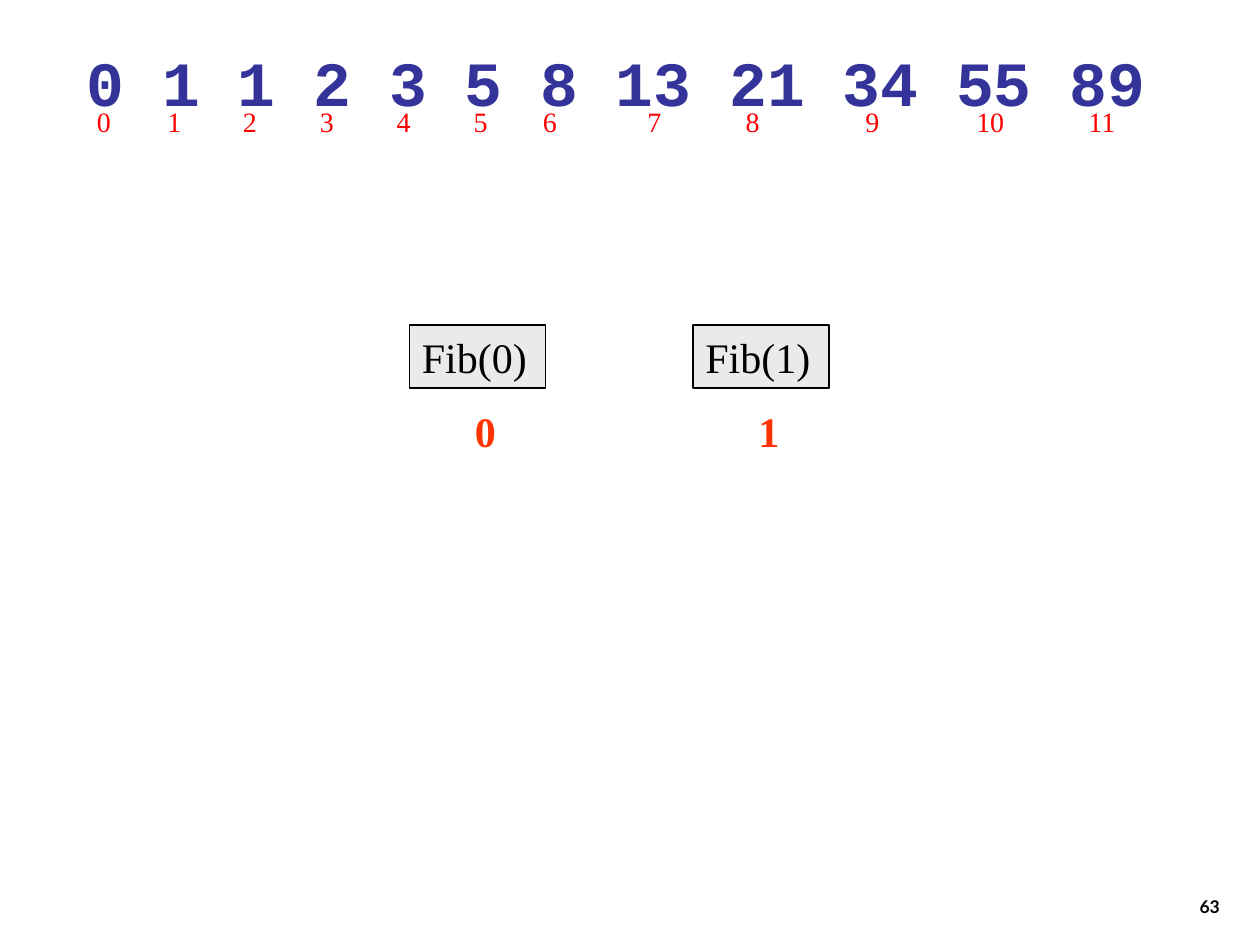
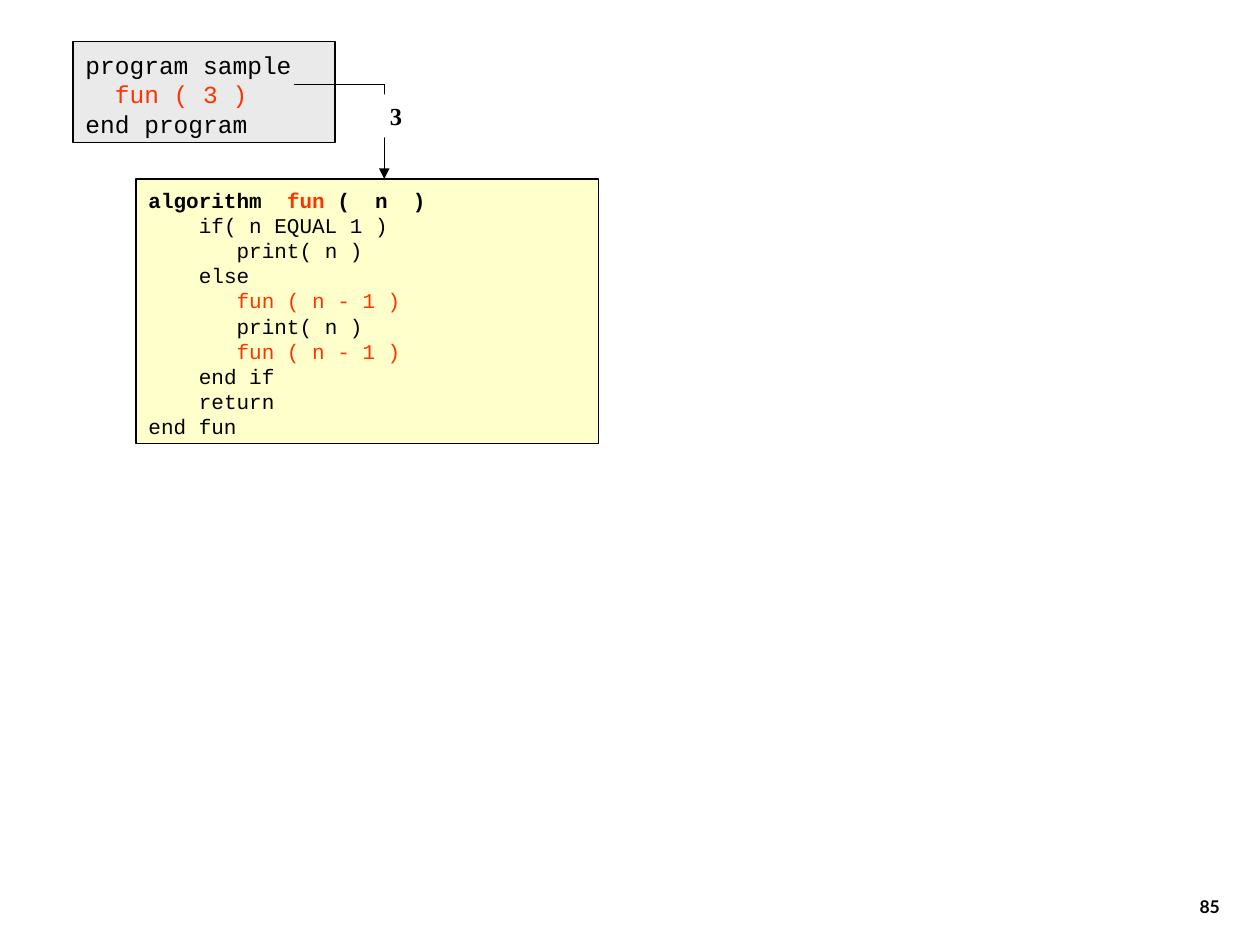
from dataclasses import dataclass

from lxml import etree
from pptx import Presentation
from pptx.dml.color import RGBColor
from pptx.enum.shapes import MSO_CONNECTOR, MSO_SHAPE
from pptx.enum.text import MSO_ANCHOR, PP_ALIGN
from pptx.oxml.ns import qn
from pptx.util import Inches, Pt

STRAIGHT = MSO_CONNECTOR.STRAIGHT
RECTANGLE = MSO_SHAPE.RECTANGLE
TOP, BOTTOM = MSO_ANCHOR.TOP, MSO_ANCHOR.BOTTOM
LEFT, RIGHT = PP_ALIGN.LEFT, PP_ALIGN.RIGHT
BLANK_LAYOUT = 6


@dataclass(frozen=True)
class Theme:
    # Colours
    ink: str = "000000"
    paper: str = "FFFFFF"
    call: str = "FF3300"
    index: str = "FF0000"
    sequence: str = "333399"
    gray_box: str = "EAEAEA"
    yellow_box: str = "FFFFCC"
    # Fonts
    serif: str = "Times New Roman"
    mono: str = "Courier New"
    sans: str = "Lato"
    # Type sizes and line measures, in points
    sequence_size: int = 36
    node_size: int = 24
    index_size: int = 16
    program_size: int = 14
    algorithm_size: int = 12
    number_size: int = 10
    line_width: float = 0.75
    leading: float = 1.2
    mono_drop: float = 0.09
    mono_advance: float = 0.6


THEME = Theme()


@dataclass
class Line:
    """One paragraph: (text, colour, bold) runs after an indent in characters."""
    runs: list
    indent: int = 0


def code(text, indent=0, color=THEME.ink):
    return Line([(text, color, False)], indent)


class Deck:
    def __init__(self, theme):
        self.theme = theme
        self.prs = Presentation()
        self.prs.slide_width, self.prs.slide_height = Inches(10), Inches(7.5)
        self.slide = None

    def new_slide(self, number):
        layout = self.prs.slide_layouts[BLANK_LAYOUT]
        self.slide = self.prs.slides.add_slide(layout)
        self.text((7.7, 6.83, 2.08, 0.5), [Line([(number, self.theme.ink, True)])],
                  self.theme.sans, self.theme.number_size, RIGHT, BOTTOM)

    def set_lines(self, shape, lines, font, size, align=LEFT, anchor=TOP):
        theme, frame = self.theme, shape.text_frame
        frame.word_wrap = True
        frame.vertical_anchor = anchor
        frame.margin_left = frame.margin_right = Inches(0.1)
        frame.margin_top = frame.margin_bottom = Inches(0.05)
        if font == theme.mono:
            frame.margin_top += Pt(theme.mono_drop * size)
        for number, line in enumerate(lines):
            paragraph = frame.add_paragraph() if number else frame.paragraphs[0]
            paragraph.alignment = align
            paragraph.line_spacing = Pt(theme.leading * size)
            if line.indent:
                margin = Pt(line.indent * theme.mono_advance * size)
                properties = paragraph._p.get_or_add_pPr()
                properties.set("marL", str(int(margin)))
                properties.set("indent", "0")
            for words, color, bold in line.runs:
                run = paragraph.add_run()
                run.text = words
                run.font.name, run.font.size, run.font.bold = font, Pt(size), bold
                run.font.color.rgb = RGBColor.from_string(color)
        return shape

    def text(self, at, lines, font, size, align=LEFT, anchor=TOP):
        shape = self.slide.shapes.add_textbox(*map(Inches, at))
        return self.set_lines(shape, lines, font, size, align, anchor)

    def box(self, at, lines, font, size, fill, outlined=True, align=LEFT):
        shape = self.slide.shapes.add_shape(RECTANGLE, *map(Inches, at))
        shape.shadow.inherit = False
        shape.fill.solid()
        shape.fill.fore_color.rgb = RGBColor.from_string(fill)
        if outlined:
            self.stroke(shape.line)
        else:
            shape.line.fill.background()
        return self.set_lines(shape, lines, font, size, align)

    def stroke(self, line):
        line.color.rgb = RGBColor.from_string(self.theme.ink)
        line.width = Pt(self.theme.line_width)

    def connector(self, start, end, arrow=False):
        link = self.slide.shapes.add_connector(STRAIGHT, *map(Inches, start + end))
        self.stroke(link.line)
        properties = link._element.spPr
        if arrow:
            etree.SubElement(properties.find(qn("a:ln")), qn("a:tailEnd"), type="triangle")
        etree.SubElement(properties, qn("a:effectLst"))

    def tab_stops(self, shape, stops):
        properties = shape.text_frame.paragraphs[0]._p.get_or_add_pPr()
        tabs = etree.SubElement(properties, qn("a:tabLst"))
        for stop in stops:
            etree.SubElement(tabs, qn("a:tab"), pos=str(int(Inches(stop))), algn="l")


def fibonacci_slide(deck):
    theme = deck.theme
    deck.new_slide("63")

    # Base cases with their results
    for left, value in ((3.25, "0"), (5.5, "1")):
        deck.box((left, 2.58, 1.08, 0.5), [Line([(f"Fib({value})", theme.ink, False)])],
                 theme.serif, theme.node_size, theme.gray_box)
        deck.text((left + 0.42, 3.17, 0.42, 0.5), [Line([(value, theme.call, True)])],
                  theme.serif, theme.node_size)

    # Sequence with the index below each number
    sequence = "0 1 1 2 3 5 8 13 21 34 55 89"
    deck.text((0.59, 0.25, 8.9, 0.7), [Line([(sequence, theme.sequence, True)])],
              theme.mono, theme.sequence_size)
    indices = "\t".join(str(i) for i in range(len(sequence.split())))
    index_row = deck.text((0.67, 0.78, 8.42, 0.37), [Line([(indices, theme.index, False)])],
                          theme.serif, theme.index_size)
    deck.tab_stops(index_row, (0.56, 1.16, 1.77, 2.38, 2.99, 3.54,
                               4.37, 5.15, 6.1, 6.98, 7.87))


def recursion_slide(deck):
    theme = deck.theme
    deck.new_slide("85")

    # Recursive algorithm
    recursive_call = code("fun ( n - 1 )", 7, theme.call)
    print_n = code("print( n )", 7)
    algorithm = [
        Line([("algorithm  ", theme.ink, True), ("fun ", theme.call, True),
              ("(  n  )", theme.ink, True)]),
        code("if( n EQUAL 1 )", 4),
        print_n,
        code("else", 4),
        recursive_call,
        print_n,
        recursive_call,
        code("end if", 4),
        code("return", 4),
        code("end fun"),
    ]
    deck.box((1.08, 1.42, 3.67, 2.1), algorithm, theme.mono,
             theme.algorithm_size, theme.yellow_box)

    # Calling program
    program = [code("program sample"), code("fun ( 3 )", 2, theme.call),
               code("end program")]
    deck.box((0.58, 0.33, 2.08, 0.8), program, theme.mono,
             theme.program_size, theme.gray_box)

    # Call arrow carrying the argument
    corner = (3.05, 0.67)
    deck.connector((2.33, 0.67), corner)
    deck.connector(corner, (3.05, 1.42), arrow=True)
    deck.box((2.9, 0.75, 0.39, 0.34), [Line([("3", theme.ink, True)])], theme.serif,
             theme.program_size, theme.paper, outlined=False, align=RIGHT)


def main():
    deck = Deck(THEME)
    fibonacci_slide(deck)
    recursion_slide(deck)
    deck.prs.save("out.pptx")


if __name__ == "__main__":
    main()
